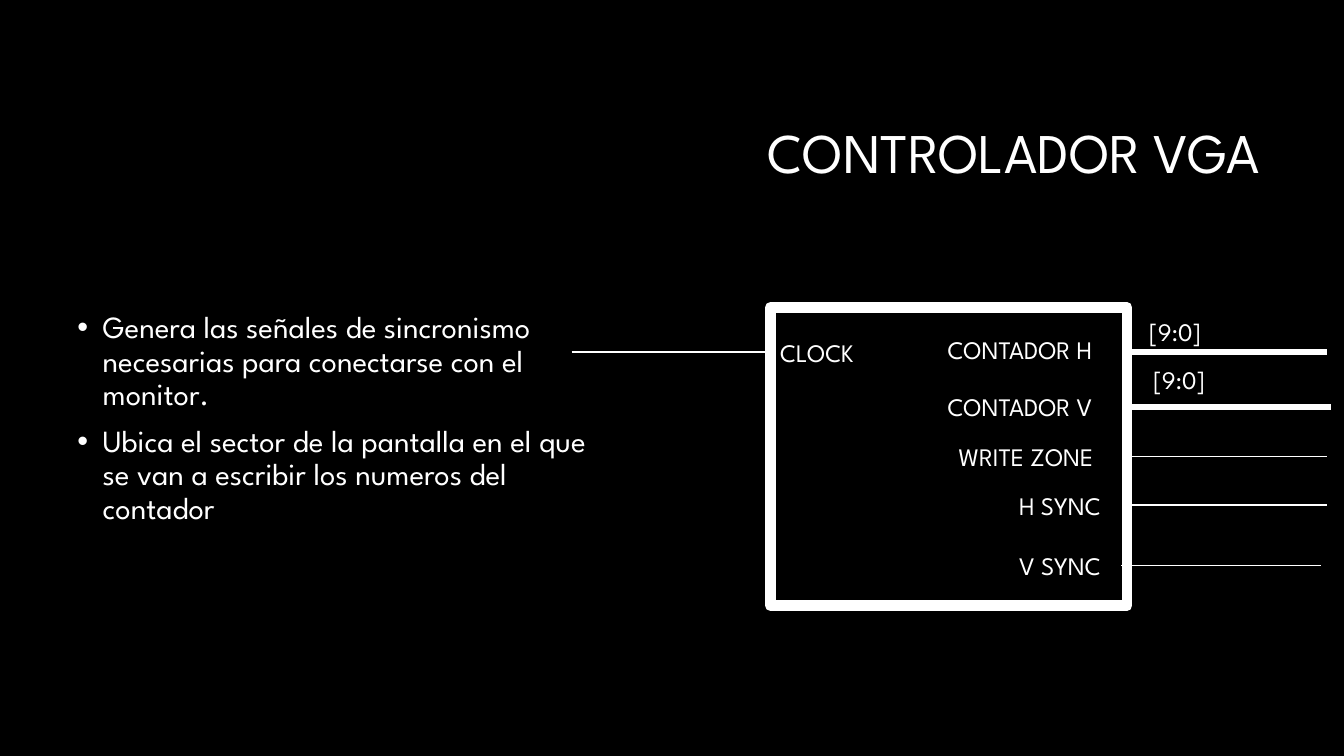
"""Build the VGA controller slide with its block diagram."""
from dataclasses import dataclass

from lxml.etree import SubElement
from pptx import Presentation
from pptx.dml.color import RGBColor
from pptx.enum.shapes import MSO_CONNECTOR, MSO_SHAPE
from pptx.enum.text import MSO_ANCHOR, MSO_AUTO_SIZE, PP_ALIGN
from pptx.oxml.ns import qn
from pptx.shapes.autoshape import Shape
from pptx.shapes.connector import Connector
from pptx.slide import Slide
from pptx.text.text import _Paragraph
from pptx.util import Inches, Pt

BLACK = RGBColor(0x00, 0x00, 0x00)
WHITE = RGBColor(0xFF, 0xFF, 0xFF)
FONT = "League Spartan"
RIGHT_SIDE = 3
THIN, BUS = 1.25, 4.5


@dataclass(frozen=True)
class Label:
    text: str
    left: float
    top: float
    width: float
    height: float = 0.4


@dataclass(frozen=True)
class Wire:
    left: float
    right: float
    y: float
    weight: float = THIN


TITLE = Label("CONTROLADOR VGA", 3.17, 0.84, 9.42, 1.41)
BODY = Label(
    "Genera las señales de sincronismo necesarias para conectarse con el monitor.\n"
    "Ubica el sector de la pantalla en el que se van a escribir los numeros del contador",
    0.67, 3.05, 5.39, 4.4,
)
SIGNAL_LABELS = [
    Label("CLOCK", 7.64, 3.3, 1.1),
    Label("CONTADOR H", 9.3, 3.27, 1.91),
    Label("CONTADOR V", 9.3, 3.83, 1.91),
    Label("WRITE ZONE", 9.41, 4.33, 1.63),
    Label("H SYNC", 10.01, 4.82, 1.11),
    Label("V SYNC", 10.01, 5.41, 1.12),
    Label("[9:0]", 11.3, 3.09, 0.73),
    Label("[9:0]", 11.34, 3.57, 0.73),
]
WRITE_ZONE_WIRE = Wire(11.18, 13.16, 4.53)
SIGNAL_WIRES = [
    Wire(5.67, 7.66, 3.49),
    Wire(11.18, 13.16, 3.49, BUS),
    Wire(11.21, 13.2, 4.04, BUS),
    Wire(11.18, 13.16, 5.01),
    Wire(11.12, 13.1, 5.61),
]


def add_label(slide: Slide, label: Label, size: float, wrap: bool = False) -> Shape:
    """Add a white text box holding one paragraph per line of the label."""
    shape = slide.shapes.add_textbox(
        Inches(label.left), Inches(label.top), Inches(label.width), Inches(label.height)
    )
    text_frame = shape.text_frame
    text_frame.text = label.text
    text_frame.word_wrap = wrap
    text_frame.auto_size = MSO_AUTO_SIZE.NONE if wrap else MSO_AUTO_SIZE.SHAPE_TO_FIT_TEXT
    for paragraph in text_frame.paragraphs:
        for run in paragraph.runs:
            run.font.name = FONT
            run.font.size = Pt(size)
            run.font.color.rgb = WHITE
    return shape


def add_bullet(paragraph: _Paragraph) -> None:
    """Give a paragraph a round bullet with a hanging indent."""
    properties = paragraph._p.get_or_add_pPr()
    properties.set("marL", str(Inches(0.25)))
    properties.set("indent", str(-Inches(0.25)))
    SubElement(properties, qn("a:buFont"), typeface="Arial")
    SubElement(properties, qn("a:buChar"), char="•")


def add_wire(slide: Slide, wire: Wire) -> Connector:
    """Add a horizontal white signal line."""
    connector = slide.shapes.add_connector(
        MSO_CONNECTOR.STRAIGHT,
        Inches(wire.left), Inches(wire.y), Inches(wire.right), Inches(wire.y),
    )
    connector.line.color.rgb = WHITE
    connector.line.width = Pt(wire.weight)
    SubElement(connector._element.spPr, qn("a:effectLst"))
    return connector


def add_controller(slide: Slide) -> Shape:
    """Add the outlined controller block."""
    controller = slide.shapes.add_shape(
        MSO_SHAPE.RECTANGLE, Inches(7.64), Inches(3.05), Inches(3.54), Inches(2.96)
    )
    controller.shadow.inherit = False
    controller.fill.background()
    controller.line.color.rgb = WHITE
    controller.line.width = Pt(7.5)
    return controller


def main() -> None:
    """Create the presentation and save it."""
    presentation = Presentation()
    presentation.slide_width = Inches(13.33)
    presentation.slide_height = Inches(7.5)
    slide = presentation.slides.add_slide(presentation.slide_layouts[6])
    slide.background.fill.solid()
    slide.background.fill.fore_color.rgb = BLACK

    title = add_label(slide, TITLE, 40, wrap=True)
    title.text_frame.vertical_anchor = MSO_ANCHOR.MIDDLE
    title.text_frame.paragraphs[0].alignment = PP_ALIGN.RIGHT
    title.text_frame.paragraphs[0].line_spacing = 0.9

    body = add_label(slide, BODY, 22, wrap=True)
    for paragraph in body.text_frame.paragraphs:
        paragraph.line_spacing = 0.9
        paragraph.space_before = Pt(10)
        add_bullet(paragraph)

    controller = add_controller(slide)
    for label in SIGNAL_LABELS:
        add_label(slide, label, 18)
    for wire in SIGNAL_WIRES:
        add_wire(slide, wire)
    add_wire(slide, WRITE_ZONE_WIRE).begin_connect(controller, RIGHT_SIDE)

    presentation.save("out.pptx")


if __name__ == "__main__":
    main()
